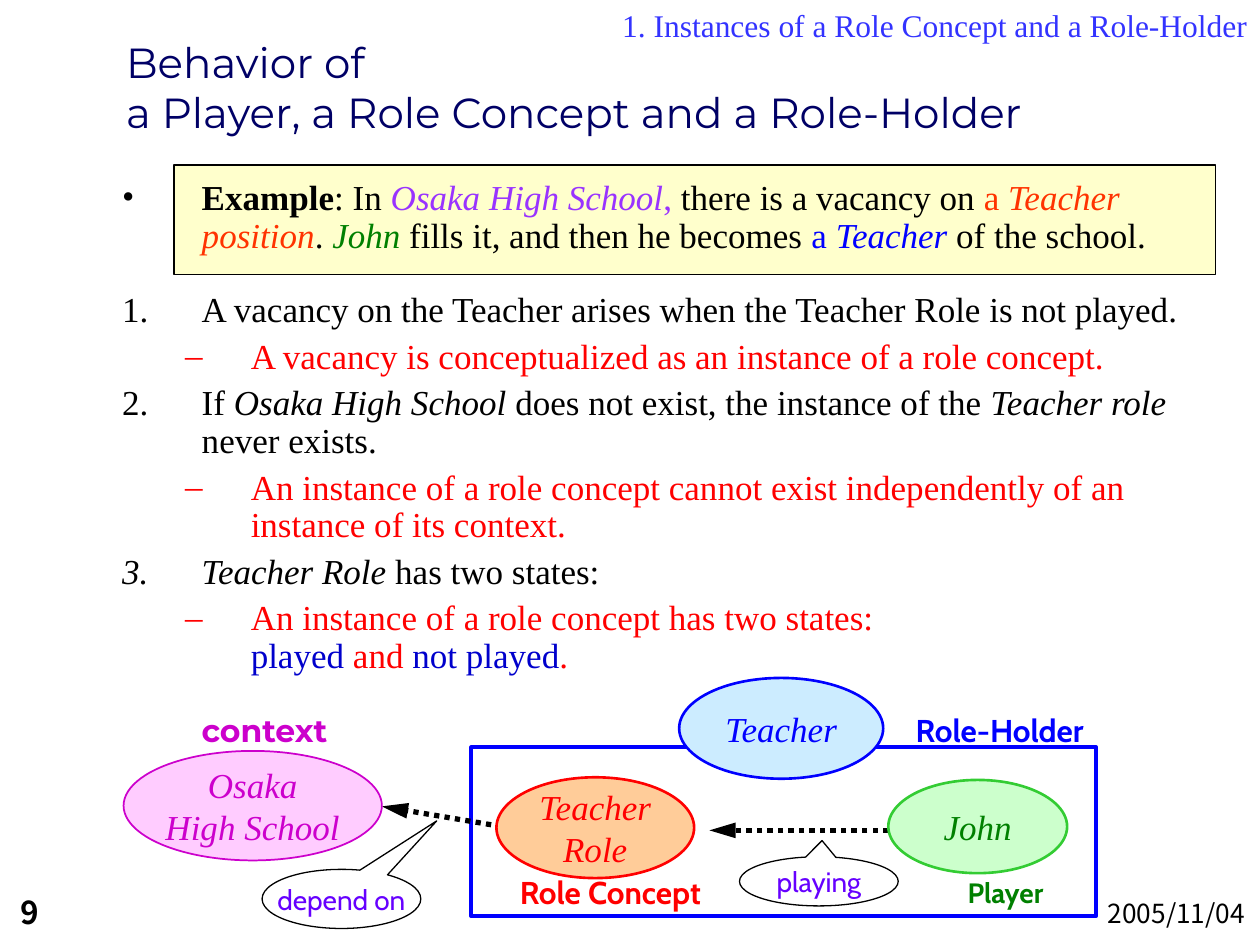
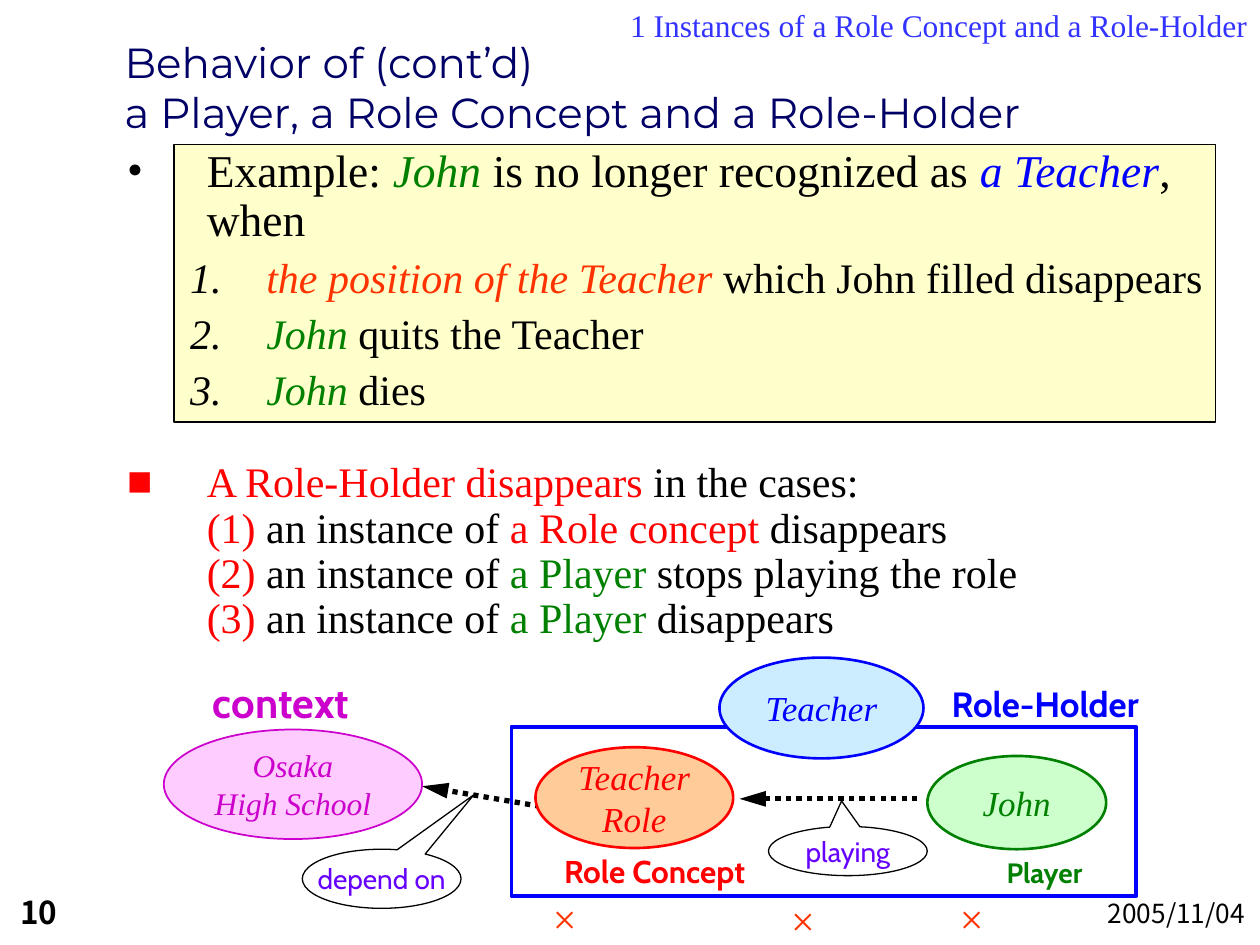
from dataclasses import dataclass

from lxml import etree
from pptx import Presentation
from pptx.dml.color import RGBColor
from pptx.enum.dml import MSO_LINE
from pptx.enum.shapes import MSO_CONNECTOR, MSO_SHAPE
from pptx.enum.text import MSO_ANCHOR, MSO_AUTO_SIZE, PP_ALIGN
from pptx.oxml.ns import qn
from pptx.util import Pt

LEFT, CENTER, RIGHT = PP_ALIGN.LEFT, PP_ALIGN.CENTER, PP_ALIGN.RIGHT
TOP, MIDDLE = MSO_ANCHOR.TOP, MSO_ANCHOR.MIDDLE
RECTANGLE, OVAL = MSO_SHAPE.RECTANGLE, MSO_SHAPE.OVAL
CALLOUT = MSO_SHAPE.OVAL_CALLOUT
STRAIGHT, DOTTED = MSO_CONNECTOR.STRAIGHT, MSO_LINE.ROUND_DOT
NO_AUTOFIT = MSO_AUTO_SIZE.NONE


@dataclass(frozen=True)
class Theme:
    heading: str = "Montserrat"
    body: str = "Times New Roman"
    label: str = "Cabin"
    footer: str = "Noto Sans CJK JP"
    black: str = "000000"
    white: str = "FFFFFF"
    navy: str = "000066"
    shadow: str = "808080"
    section: str = "3333FF"
    red: str = "FF0000"
    orange: str = "FF3300"
    green: str = "008000"
    light_green: str = "33CC33"
    blue: str = "0000FF"
    state_blue: str = "0000CC"
    purple: str = "9933FF"
    violet: str = "6600FF"
    magenta: str = "CC00CC"
    cream: str = "FFFFCC"
    peach: str = "FFCC99"
    mint: str = "CCFFCC"
    pink: str = "FFCCFF"
    sky: str = "CCECFF"
    title_size: float = 24
    section_size: float = 18
    node_size: float = 20
    label_size: float = 18
    small_size: float = 16
    date_size: float = 15
    mark_size: float = 24


theme = Theme()
BLACK, RED, GREEN, BLUE, ORANGE = theme.black, theme.red, theme.green, theme.blue, theme.orange


def add_text(paragraph, text, size=18, font=theme.body, color=theme.black, bold=False, italic=False):
    """Append text to a paragraph, with a line break at each newline."""
    for index, line in enumerate(text.split("\n")):
        if index:
            paragraph.add_line_break()
        if line:
            run = paragraph.add_run()
            run.text = line
            run.font.size = Pt(size)
            run.font.name = font
            run.font.color.rgb = RGBColor.from_string(color)
            run.font.bold = bold
            run.font.italic = italic


def set_frame(shape, align=LEFT, anchor=TOP, insets=(7.2, 3.6, 7.2, 3.6), wrap=True):
    """Format a shape's text frame and return its first paragraph."""
    frame = shape.text_frame
    frame.auto_size = NO_AUTOFIT
    frame.word_wrap = wrap
    frame.vertical_anchor = anchor
    frame.margin_left, frame.margin_top, frame.margin_right, frame.margin_bottom = map(Pt, insets)
    paragraph = frame.paragraphs[0]
    paragraph.alignment = align
    return paragraph


# Paragraph kinds: level, left margin, first-line indent, bullet (None means numbered), bullet colour
KINDS = {
    "point": (0, 45.5, -45.5, "•", BLACK),
    "square": (0, 45.5, -45.5, "■", RED),
    "number": (0, 45.5, -45.5, None, BLACK),
    "dash": (1, 73.5, -37.5, "–", RED),
    "case": (1, 79.5, -43.5, None, BLACK),
}

# Ellipses: width, height, fill, text colour, line weight
NODES = {
    "Teacher\nRole": (113, 57.6, theme.peach, RED, 1.5),
    "John": (102.2, 53.3, theme.mint, GREEN, 1.5),
    "Osaka\nHigh School": (147.6, 62.6, theme.pink, theme.magenta, 1),
    "Teacher": (116.6, 57.6, theme.sky, BLUE, 1.5),
}

LABEL_COLORS = {"Role Concept": RED, "context": theme.magenta, "Player": GREEN, "Role-Holder": BLUE}
CALLOUT_SIZES = {"depend on": (90.7, 33.8), "playing": (90.7, 28.1)}

# Body paragraphs: kind, size, space before, runs of (text, colour, italic)
SLIDES = [
    {
        "page": "9",
        "section": "1. Instances of a Role Concept and a Role-Holder",
        "title": "Behavior of\na Player, a Role Concept and a Role-Holder",
        "title_box": (63.4, 15.1, 597.6, 60.5),
        "example_box": (99.4, 94.3, 595.4, 62.6),
        "body_box": (61.2, 94.3, 655.9, 344.9),
        "body": [
            ("point", 20, 0, [
                ("Example", BLACK, False, True), (": In ", BLACK, False),
                ("Osaka High School", theme.purple, True), (",", theme.purple, False),
                (" there is a vacancy on ", BLACK, False), ("a ", ORANGE, False),
                ("Teacher\nposition", ORANGE, True), (". ", BLACK, False), ("John", GREEN, True),
                (" fills it, and then he becomes ", BLACK, False), ("a ", BLUE, False),
                ("Teacher", BLUE, True), (" of the school.", BLACK, False)]),
            ("number", 20, 21, [
                ("A vacancy on the Teacher arises when the Teacher Role is not played.", BLACK, False)]),
            ("dash", 20, 5, [
                ("A vacancy is conceptualized as an instance of a role concept.", RED, False)]),
            ("number", 20, 5, [
                ("If ", BLACK, False), ("Osaka High School", BLACK, True),
                (" does not exist, the instance of the ", BLACK, False),
                ("Teacher role", BLACK, True), (" never exists.", BLACK, False)]),
            ("dash", 20, 5, [
                ("An instance of a role concept cannot exist independently of an "
                 "instance of its context.", RED, False)]),
            ("number", 20, 5, [("Teacher Role", BLACK, True), (" has two states:", BLACK, False)]),
            ("dash", 20, 5, [
                ("An instance of a role concept has two states:\n", RED, False),
                ("played ", theme.state_blue, False), ("and ", RED, False),
                ("not played", theme.state_blue, False), (".", RED, False)]),
        ],
        "frame": (269.3, 427),
        "labels": {
            "Role Concept": (275, 495.4, 147.6, 28.8, theme.label_size, theme.label),
            "context": (115.2, 406.1, 85.7, 21.6, theme.label_size, theme.heading),
            "Player": (542.2, 496.8, 64.8, 26.6, theme.small_size, theme.label),
            "Role-Holder": (498.2, 402.5, 146.2, 28.8, theme.label_size, theme.label),
        },
        "arrows": [(286.6, 472.3, 218.2, 460.8), (507.6, 474.5, 405.4, 474.5)],
        "callouts": {"depend on": (149.8, 496.8, 0.6, -1.32), "playing": (422.6, 489.6, 0.02, -0.83)},
        "nodes": {
            "Teacher\nRole": (283.7, 444.2, theme.node_size, RED),
            "John": (507.6, 445.7, theme.node_size, theme.light_green),
            "Osaka\nHigh School": (70.6, 429.1, theme.node_size, theme.magenta),
            "Teacher": (388.1, 387.4, theme.node_size, BLUE),
        },
        "marks": [],
    },
    {
        "page": "10",
        "section": "1 Instances of a Role Concept and a Role-Holder",
        "title": "Behavior of (cont’d)\na Player, a Role Concept and a Role-Holder",
        "title_box": (62.6, 15.1, 656.6, 60.5),
        "example_box": (99.4, 82.8, 595.4, 158.4),
        "body_box": (64.1, 76.3, 648, 304.6),
        "body": [
            ("point", 26, 0, [
                ("Example: ", BLACK, False), ("John", GREEN, True),
                (" is no longer recognized as ", BLACK, False), ("a Teacher", BLUE, True),
                (", when", BLACK, False)]),
            ("case", 24, 6, [
                ("the position of the Teacher", ORANGE, True),
                (" which John filled disappears", BLACK, False)]),
            ("case", 24, 6, [("John", GREEN, True), (" quits the Teacher", BLACK, False)]),
            ("case", 24, 6, [("John", GREEN, True), (" dies", BLACK, False)]),
            ("square", 24, 27, [
                ("A Role-Holder disappears", RED, False), (" in the cases:\n", BLACK, False),
                ("(1)", RED, False), (" an instance of ", BLACK, False),
                ("a Role concept", RED, False), (" disappears\n", BLACK, False),
                ("(2)", RED, False), (" an instance of ", BLACK, False),
                ("a Player", GREEN, False), (" stops playing the role\n", BLACK, False),
                ("(3)", RED, False), (" an instance of ", BLACK, False),
                ("a Player", GREEN, False), (" disappears", BLACK, False)]),
        ],
        "frame": (292.3, 415.4),
        "labels": {
            "Role Concept": (297.4, 483.1, 153.4, 28.8, theme.label_size, theme.label),
            "context": (121.7, 386.6, 92.2, 28.8, theme.mark_size, theme.label),
            "Player": (564.5, 485.3, 64.8, 26.6, theme.small_size, theme.label),
            "Role-Holder": (531.4, 386.6, 131.8, 31, theme.node_size, theme.label),
        },
        "arrows": [(308.9, 460.8, 241.2, 449.3), (524.2, 456.5, 422.6, 456.5)],
        "callouts": {"depend on": (172.8, 485.3, 0.58, -1.42), "playing": (439.2, 472.3, -0.04, -1.02)},
        "nodes": {
            "Teacher\nRole": (306, 427, theme.node_size, RED),
            "John": (529.9, 432, theme.node_size, GREEN),
            "Osaka\nHigh School": (93.6, 416.9, theme.label_size, theme.magenta),
            "Teacher": (411.1, 375.8, theme.node_size, BLUE),
        },
        "marks": [(308.9, 506.2), (445, 507.6), (541.4, 506.2)],
    },
]

presentation = Presentation()
presentation.slide_width, presentation.slide_height = Pt(720), Pt(540)

for content in SLIDES:
    slide = presentation.slides.add_slide(presentation.slide_layouts[5])
    shapes = slide.shapes

    # Title with its text shadow
    title = shapes.title
    title.left, title.top, title.width, title.height = map(Pt, content["title_box"])
    paragraph = set_frame(title, anchor=MIDDLE, insets=(8.6, 8.6, 8.6, 0))
    add_text(paragraph, content["title"], size=theme.title_size, font=theme.heading, color=theme.navy)
    for run in paragraph.runs:
        effects = etree.Element(qn("a:effectLst"))
        shadow = etree.SubElement(effects, qn("a:outerShdw"), dist="17961", dir="2700000")
        etree.SubElement(shadow, qn("a:srgbClr"), val=theme.shadow)
        run.font._element.find(qn("a:solidFill")).addnext(effects)

    # Example panel and the frame around the role-holder
    panels = [
        (content["example_box"], theme.cream, BLACK, 0.75),
        ((*content["frame"], 357.1, 96.5), None, BLUE, 2.25),
    ]
    for box, fill, line, weight in panels:
        panel = shapes.add_shape(RECTANGLE, *map(Pt, box))
        panel.shadow.inherit = False
        if fill:
            panel.fill.solid()
            panel.fill.fore_color.rgb = RGBColor.from_string(fill)
        else:
            panel.fill.background()
        panel.line.color.rgb = RGBColor.from_string(line)
        panel.line.width = Pt(weight)

    # Body text
    body = shapes.add_textbox(*map(Pt, content["body_box"]))
    paragraph = set_frame(body, insets=(8.6, 8.6, 8.6, 8.6))
    for index, (kind, size, space, runs) in enumerate(content["body"]):
        if index:
            paragraph = body.text_frame.add_paragraph()
            paragraph.space_before = Pt(space)
        level, margin, indent, bullet, bullet_color = KINDS[kind]
        paragraph.level = level
        properties = paragraph._p.get_or_add_pPr()
        properties.set("marL", str(Pt(margin)))
        properties.set("indent", str(Pt(indent)))
        color_element = etree.SubElement(properties, qn("a:buClr"))
        etree.SubElement(color_element, qn("a:srgbClr"), val=bullet_color)
        etree.SubElement(properties, qn("a:buFont"), typeface=theme.body)
        if bullet:
            etree.SubElement(properties, qn("a:buChar"), char=bullet)
        else:
            etree.SubElement(properties, qn("a:buAutoNum"), type="arabicPeriod")
        paragraph.line_spacing = 0.9
        for text, color, italic, *bold in runs:
            add_text(paragraph, text, size=size, color=color, italic=italic, bold=bool(bold))

    # Diagram: labels, arrows, callouts, ellipses
    for text, (*box, size, font) in content["labels"].items():
        label = shapes.add_textbox(*map(Pt, box))
        if text == "context":
            paragraph = set_frame(label, insets=(0, 0, 0, 0))
        else:
            paragraph = set_frame(label, align=CENTER)
        add_text(paragraph, text, size=size, font=font, color=LABEL_COLORS[text], bold=True)

    for ends in content["arrows"]:
        arrow = shapes.add_connector(STRAIGHT, *map(Pt, ends))
        arrow.line.color.rgb = RGBColor.from_string(BLACK)
        arrow.line.width = Pt(3)
        arrow.line.dash_style = DOTTED
        etree.SubElement(arrow.line._get_or_add_ln(), qn("a:tailEnd"), type="triangle", w="med", len="lg")
        etree.SubElement(arrow._element.spPr, qn("a:effectLst"))

    ovals = []
    for text, (left, top, *tip) in content["callouts"].items():
        ovals.append((CALLOUT, text, (left, top, *CALLOUT_SIZES[text]), tip, theme.white, BLACK, 0.75,
                      dict(size=theme.small_size, font=theme.label, color=theme.violet)))
    for text, (left, top, size, line) in content["nodes"].items():
        width, height, fill, color, weight = NODES[text]
        ovals.append((OVAL, text, (left, top, width, height), [], fill, line, weight,
                      dict(size=size, color=color, italic=True)))
    for preset, text, box, tip, fill, line, weight, text_format in ovals:
        oval = shapes.add_shape(preset, *map(Pt, box))
        oval.shadow.inherit = False
        for index, value in enumerate(tip):
            oval.adjustments[index] = value
        oval.fill.solid()
        oval.fill.fore_color.rgb = RGBColor.from_string(fill)
        oval.line.color.rgb = RGBColor.from_string(line)
        oval.line.width = Pt(weight)
        add_text(set_frame(oval, align=CENTER, anchor=MIDDLE, wrap=False), text, **text_format)

    for left, top in content["marks"]:
        mark = shapes.add_textbox(Pt(left), Pt(top), Pt(85), Pt(540 - top))
        add_text(set_frame(mark), "×", size=theme.mark_size, color=ORANGE)

    # Section heading, page number and date
    section = shapes.add_textbox(Pt(193), Pt(0), Pt(527), Pt(28.8))
    add_text(set_frame(section, align=RIGHT), content["section"], size=theme.section_size, color=theme.section)
    footer_insets = (8.6, 0, 8.6, 8.6)
    page = shapes.add_textbox(Pt(2.9), Pt(514.1), Pt(64.8), Pt(23))
    add_text(set_frame(page, anchor=MIDDLE, insets=footer_insets), content["page"],
             size=theme.label_size, font=theme.footer, bold=True)
    date = shapes.add_textbox(Pt(570.2), Pt(511.9), Pt(149.8), Pt(28.1))
    add_text(set_frame(date, align=RIGHT, anchor=MIDDLE, insets=footer_insets), "2005/11/04",
             size=theme.date_size, font=theme.footer)

presentation.save("out.pptx")
